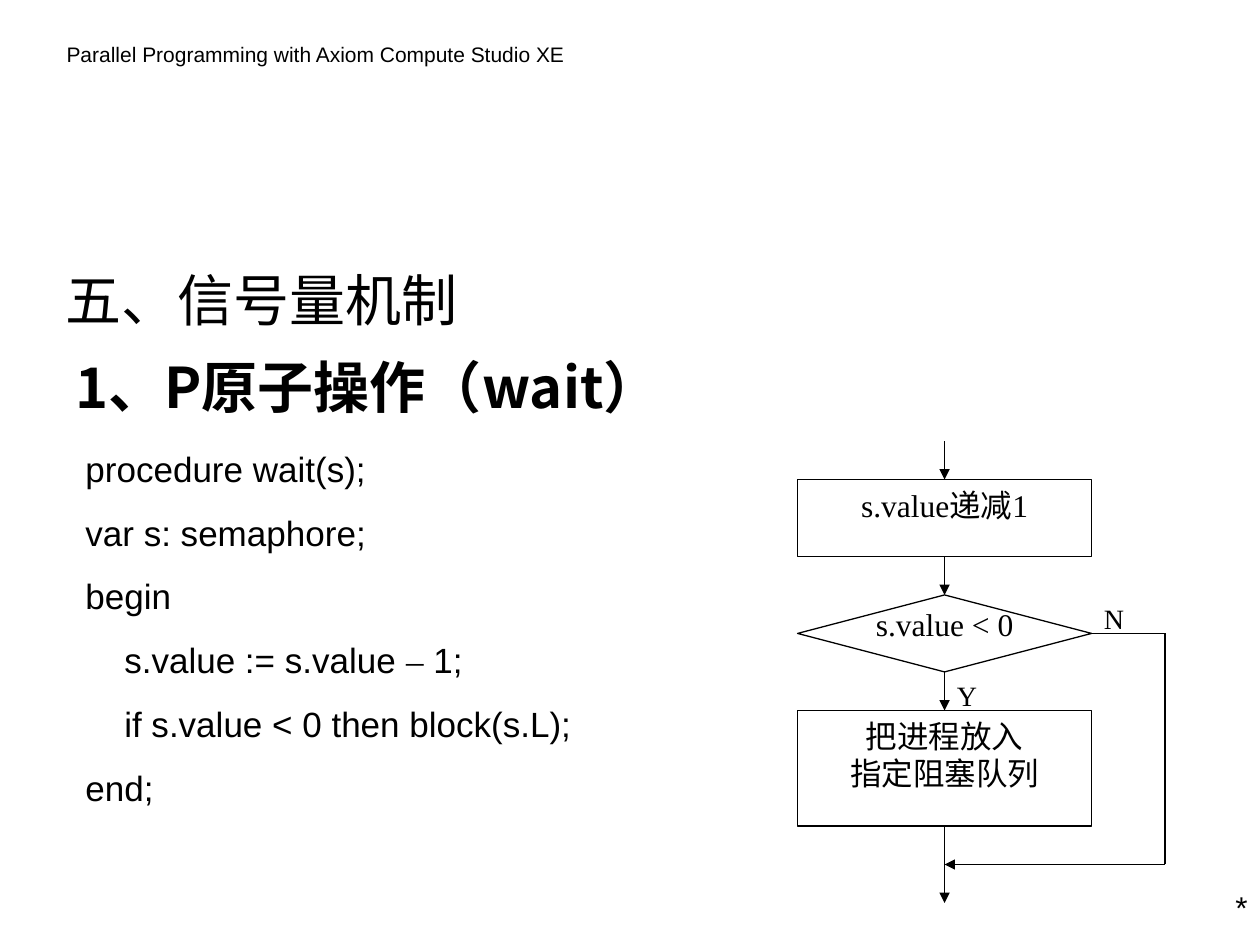
from lxml.etree import SubElement
from pptx import Presentation
from pptx.dml.color import RGBColor
from pptx.enum.shapes import MSO_CONNECTOR, MSO_SHAPE
from pptx.enum.text import MSO_ANCHOR as Anchor, PP_ALIGN as Align
from pptx.oxml.ns import qn
from pptx.util import Inches, Pt

BLACK = RGBColor(0x00, 0x00, 0x00)
WHITE = RGBColor(0xFF, 0xFF, 0xFF)
SANS, SERIF, CHINESE = "Arial", "Times New Roman", "Noto Sans CJK SC"
TOP, LEFT, BOTTOM, RIGHT = range(4)


def write_text(shape, lines, size=18, font=SANS, bold=False, align=Align.LEFT,
               anchor=Anchor.TOP, space_before=0, line_spacing=None):
    """Write one paragraph per line; a line is a string or a list of (text, font)."""
    frame = shape.text_frame
    frame.word_wrap = True
    frame.vertical_anchor = anchor
    for index, line in enumerate(lines):
        paragraph = frame.add_paragraph() if index else frame.paragraphs[0]
        paragraph.alignment = align
        paragraph.space_before = Pt(space_before if index else 0)
        if line_spacing:
            paragraph.line_spacing = line_spacing
        for text, face in [(line, font)] if isinstance(line, str) else line:
            run = paragraph.add_run()
            run.text = text
            run.font.name = face
            run.font.size = Pt(size)
            run.font.bold = bold
            run.font.color.rgb = BLACK
            SubElement(run.font._element, qn("a:ea"), typeface=CHINESE)


class FlowSlide:
    """Places text in inches and flowchart parts in columns and rows of a grid."""
    grid_left, grid_top = 6.33, 3.5
    column, row = 7 / 12, 11 / 36
    line_width = Pt(0.75)

    def __init__(self, presentation):
        self.slide = presentation.slides.add_slide(presentation.slide_layouts[6])
        self.shapes = self.slide.shapes

    def point(self, column, row):
        return (Inches(self.grid_left + column * self.column),
                Inches(self.grid_top + row * self.row))

    def area(self, column, row, columns, rows):
        return (*self.point(column, row),
                Inches(columns * self.column), Inches(rows * self.row))

    def text(self, left, top, width, height, lines, **style):
        box = self.shapes.add_textbox(*map(Inches, (left, top, width, height)))
        write_text(box, lines, **style)

    def label(self, area, text, **style):
        write_text(self.shapes.add_textbox(*self.area(*area)), [text],
                   font=SERIF, **style)

    def node(self, kind, row, rows, lines=()):
        shape = self.shapes.add_shape(kind, *self.area(0, row, 4, rows))
        shape.shadow.inherit = False
        shape.fill.solid()
        shape.fill.fore_color.rgb = WHITE
        shape.line.color.rgb = BLACK
        shape.line.width = self.line_width
        if lines:
            write_text(shape, lines, font=SERIF, align=Align.CENTER)
        return shape

    def line(self, start, end, arrow=True, begin=None, finish=None):
        """Draw between grid points; begin and finish are (shape, side) joints."""
        connector = self.shapes.add_connector(
            MSO_CONNECTOR.STRAIGHT, *self.point(*start), *self.point(*end))
        if begin:
            connector.begin_connect(*begin)
        if finish:
            connector.end_connect(*finish)
        connector.line.color.rgb = BLACK
        connector.line.width = self.line_width
        if arrow:
            SubElement(connector.line._get_or_add_ln(), qn("a:tailEnd"),
                       type="triangle")
        SubElement(connector._element.spPr, qn("a:effectLst"))


def add_texts(page):
    page.text(0.43, 0.28, 4.6, 0.3,
              ["Parallel Programming with Axiom Compute Studio XE"], size=12)
    page.text(0.42, 2, 5.67, 0.75, ["五、信号量机制"], size=32, font=CHINESE,
              anchor=Anchor.MIDDLE)
    page.text(0.5, 2.75, 9.5, 1.08, ["1、P原子操作（wait）"], size=32,
              font=CHINESE, bold=True)
    page.text(0.58, 3.5, 4.17, 2.97, [
        "procedure wait(s);",
        "var s: semaphore;",
        "begin",
        [("    s.value := s.value ", SANS), ("–", SERIF), (" 1;", SANS)],
        "    if s.value < 0 then block(s.L);",
        "end;",
    ], size=20, space_before=12.5)
    page.text(9.33, 7, 0.67, 0.4, ["*"], align=Align.RIGHT)


def add_flowchart(page):
    decrement = page.node(MSO_SHAPE.RECTANGLE, 1, 2, ["s.value递减1"])
    decision = page.node(MSO_SHAPE.FLOWCHART_DECISION, 4, 2)
    block = page.node(MSO_SHAPE.RECTANGLE, 7, 3, ["把进程放入", "指定阻塞队列"])

    page.label((0, 4, 4, 2), "s.value < 0", align=Align.CENTER, line_spacing=1.1)
    page.label((4, 4, 1, 1.5), "N", size=16)
    page.label((2, 6, 1, 1.5), "Y", size=16)

    page.line((2, 0), (2, 1), finish=(decrement, TOP))
    page.line((2, 3), (2, 4), begin=(decrement, BOTTOM), finish=(decision, TOP))
    page.line((2, 6), (2, 7), begin=(decision, BOTTOM), finish=(block, TOP))
    page.line((2, 10), (2, 12), begin=(block, BOTTOM))
    page.line((4, 5), (5, 5), arrow=False, begin=(decision, RIGHT))
    page.line((5, 5), (5, 11), arrow=False)
    page.line((5, 11), (2, 11))


def main():
    presentation = Presentation()
    presentation.slide_width = Inches(10)
    presentation.slide_height = Inches(7.5)
    page = FlowSlide(presentation)
    add_texts(page)
    add_flowchart(page)
    presentation.save("out.pptx")


if __name__ == "__main__":
    main()
